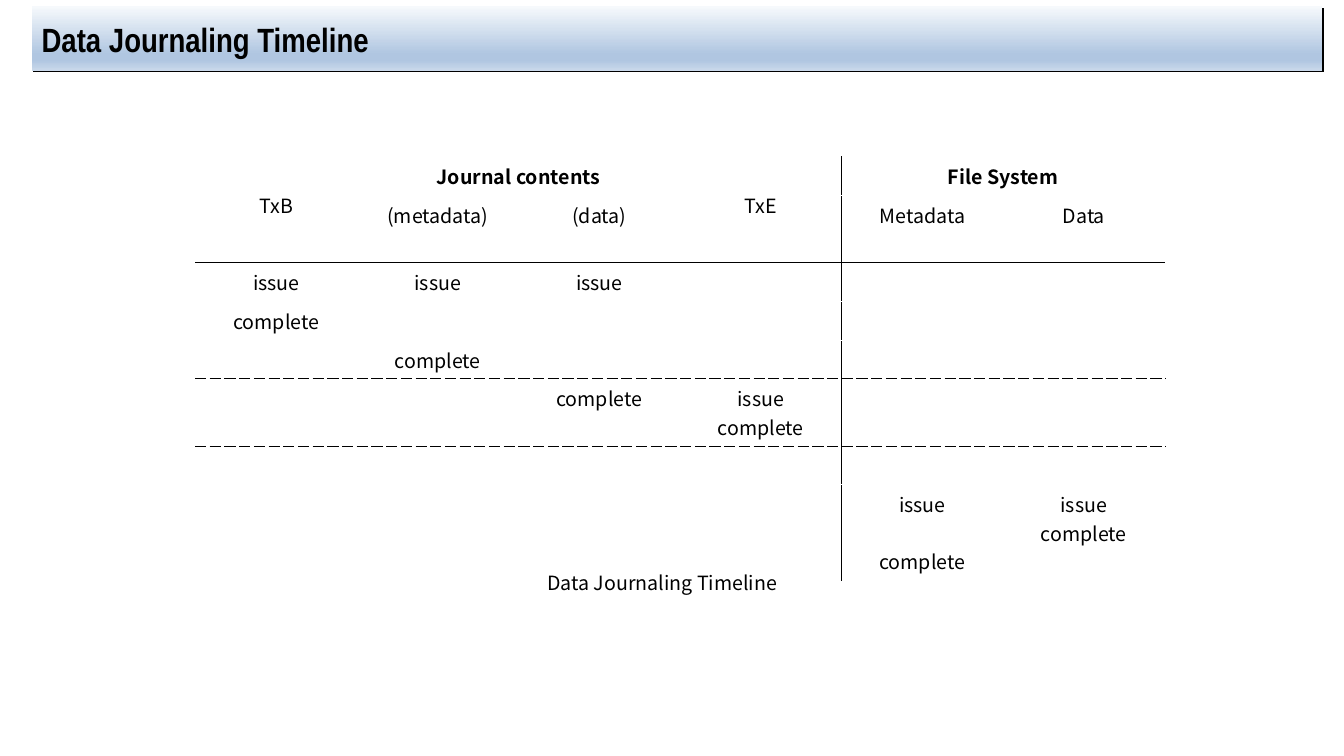
from lxml import etree
from pptx import Presentation
from pptx import util as u
from pptx.dml import color
from pptx.enum import shapes, text
from pptx.oxml import ns

TITLE = "Data Journaling Timeline"
BODY_FONT = "Noto Sans CJK KR"
LINE_HEIGHT = u.Pt(20.4)
SOLID, DASHED = (0.75, "solid"), (1, "dash")

COLUMN_WIDTH = 4.07
ROW_HEIGHTS = [0.97, 1.68, 0.97, 0.97, 0.97, 1.69, 0.97, 2.44]
FILE_SYSTEM_COLUMN = 4
RULES_BELOW = {1: SOLID, 4: DASHED, 5: DASHED}
MERGES = [((0, 0), (1, 0)), ((0, 1), (0, 2)), ((0, 3), (1, 3)), ((0, 4), (0, 5))]
TIMELINE = [
    ["TxB", "Journal contents", "", "TxE", "File System", ""],
    ["", "(metadata)", "(data)", "", "Metadata", "Data"],
    ["issue", "issue", "issue", "", "", ""],
    ["complete", "", "", "", "", ""],
    ["", "complete", "", "", "", ""],
    ["", "", "complete", "issue\ncomplete", "", ""],
    ["", "", "", "", "", ""],
    ["", "", "", "", "issue\ncomplete", "issue\ncomplete"],
]


def rgb(hex_code):
    """Turn a hex string into a colour."""
    return color.RGBColor.from_string(hex_code)


def add_node(parent, tag, **attributes):
    """Append a drawing element with the given attributes."""
    node = etree.SubElement(parent, ns.qn(tag))
    for name, value in attributes.items():
        node.set(name, str(value))
    return node


def add_colour(parent, hex_code):
    """Append a plain colour element."""
    add_node(parent, "a:srgbClr", val=hex_code)


def style_text(frame, font, size, bold=False):
    """Format every run of a text frame."""
    for paragraph in frame.paragraphs:
        for run in paragraph.runs:
            run.font.name, run.font.size, run.font.bold = font, u.Pt(size), bold
            run.font.color.rgb = rgb("000000")


def add_title_bar(slide):
    """Add the gradient bar with the slide title."""
    bar = slide.shapes.add_shape(shapes.MSO_SHAPE.RECTANGLE,
                                 u.Cm(0.8), u.Cm(0.16), u.Cm(32.53), u.Cm(1.63))
    bar.line.fill.background()
    bar.fill.gradient()
    bar.fill.gradient_angle = 270
    stops = bar.element.spPr.find(".//" + ns.qn("a:gsLst"))
    stops.clear()
    for percent, hex_code in [(0, "F6F9FC"), (74, "B0C6E1"), (83, "B0C6E1"), (100, "CAD9EB")]:
        add_colour(add_node(stops, "a:gs", pos=percent * 1000), hex_code)
    effects = add_node(bar.element.spPr, "a:effectLst")
    add_colour(add_node(effects, "a:outerShdw", blurRad=0, dist=u.Pt(1.4),
                        dir=45 * 60000, algn="ctr", rotWithShape=0), "000000")
    frame = bar.text_frame
    frame.text = TITLE
    frame.vertical_anchor = text.MSO_ANCHOR.MIDDLE
    frame.paragraphs[0].alignment = text.PP_ALIGN.LEFT
    style_text(frame, "Arial Narrow", 24, bold=True)


def add_border(cell, side, rule):
    """Draw one side of a cell with a (width, dash) rule."""
    width, dash = rule
    line = add_node(cell._tc.get_or_add_tcPr(), "a:ln" + side, w=u.Pt(width))
    add_colour(add_node(line, "a:solidFill"), "000000")
    add_node(line, "a:prstDash", val=dash)


def rule_cell(cell, row, column):
    """Draw the lines that touch a cell, in schema order."""
    last_row = row + cell.span_height - 1 if cell.is_merge_origin else row
    sides = {
        "L": SOLID if column == FILE_SYSTEM_COLUMN else None,
        "R": SOLID if column == FILE_SYSTEM_COLUMN - 1 else None,
        "T": RULES_BELOW.get(row - 1),
        "B": RULES_BELOW.get(last_row),
    }
    for side, rule in sides.items():
        if rule:
            add_border(cell, side, rule)


def fill_cell(cell, wording, bold):
    """Write centred text into a white cell."""
    cell.fill.solid()
    cell.fill.fore_color.rgb = rgb("FFFFFF")
    if not wording:
        cell.margin_top = cell.margin_bottom = 0
        return
    cell.text_frame.text = wording
    for paragraph in cell.text_frame.paragraphs:
        paragraph.alignment = text.PP_ALIGN.CENTER
    style_text(cell.text_frame, BODY_FONT, 14, bold)


def add_timeline(slide):
    """Add the table of journal and file system writes."""
    rows, columns = len(TIMELINE), len(TIMELINE[0])
    timeline = slide.shapes.add_table(rows, columns, u.Cm(4.93), u.Cm(3.95),
                                      u.Cm(COLUMN_WIDTH * columns),
                                      u.Cm(sum(ROW_HEIGHTS))).table
    timeline.first_row = timeline.horz_banding = False
    for column in timeline.columns:
        column.width = u.Cm(COLUMN_WIDTH)
    for row, height in zip(timeline.rows, ROW_HEIGHTS):
        row.height = u.Cm(height)
    for first, last in MERGES:
        timeline.cell(*first).merge(timeline.cell(*last))
    for row, wordings in enumerate(TIMELINE):
        for column, wording in enumerate(wordings):
            cell = timeline.cell(row, column)
            rule_cell(cell, row, column)
            spans_columns = cell.is_merge_origin and cell.span_width > 1
            fill_cell(cell, wording, bold=spans_columns)
            if cell.is_merge_origin and cell.span_height > 1:
                cell.margin_top = u.Cm(0.13) + LINE_HEIGHT
    metadata_writes = timeline.cell(rows - 1, FILE_SYSTEM_COLUMN).text_frame
    metadata_writes.paragraphs[1].space_before = LINE_HEIGHT


def add_caption(slide):
    """Add the caption under the table."""
    caption = slide.shapes.add_textbox(u.Cm(13.54), u.Cm(14.27), u.Cm(7.34), u.Cm(0.86))
    caption.text_frame.word_wrap = True
    caption.text_frame.text = TITLE
    style_text(caption.text_frame, BODY_FONT, 14)


def main():
    """Build and save the slide."""
    deck = Presentation()
    deck.slide_width, deck.slide_height = u.Cm(33.87), u.Cm(19.05)
    slide = deck.slides.add_slide(deck.slide_layouts[6])
    add_title_bar(slide)
    add_timeline(slide)
    add_caption(slide)
    deck.save("out.pptx")


main()
